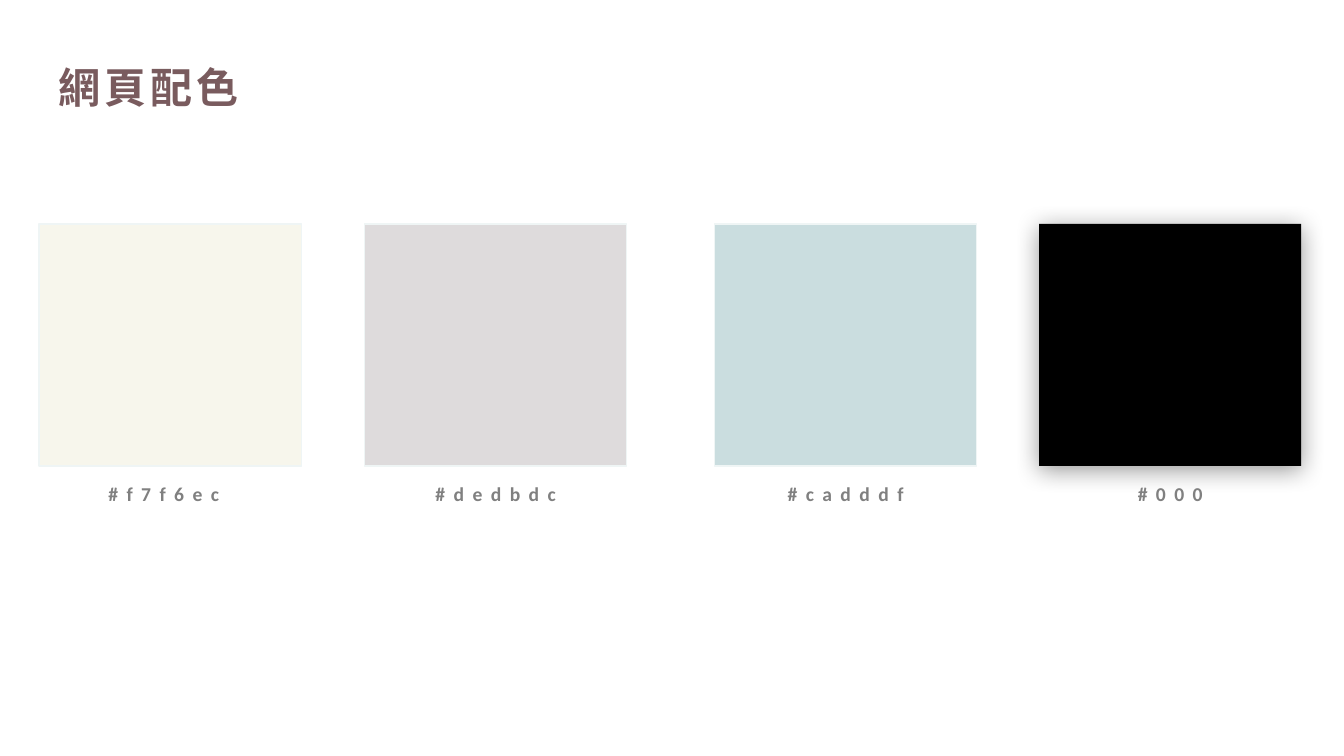
from lxml import etree
from pptx import Presentation
from pptx.dml.color import RGBColor
from pptx.enum import shapes, text
from pptx.oxml import ns
from pptx.util import Pt

HUES = {"title": "795B5E", "label": "808080", "edge": "EFF5F5", "shade": "000000",
        "cream": "F7F6EC", "grey": "DEDBDC", "blue": "CADDDF", "black": "000000"}


class Board:
    font = "Calibri"

    def __init__(self, slide):
        self.slide = slide

    def hue(self, name):
        return RGBColor.from_string(HUES[name])

    def swatch(self, x, y, w, h, fill, edge=None):
        box = self.slide.shapes.add_shape(
            shapes.MSO_SHAPE.RECTANGLE, Pt(x), Pt(y), Pt(w), Pt(h))
        box.shadow.inherit = False
        box.fill.solid()
        box.fill.fore_color.rgb = self.hue(fill)
        if edge:
            box.line.color.rgb = self.hue(edge)
            box.line.width = Pt(1)
        else:
            box.line.fill.background()
        return box

    def shade(self, box, blur, dist, alpha):
        fx = box._element.spPr.find(ns.qn("a:effectLst"))
        out = etree.SubElement(
            fx, ns.qn("a:outerShdw"), blurRad=str(Pt(blur)), dist=str(Pt(dist)),
            dir=str(90 * 60000), algn="t", rotWithShape="0")
        clr = etree.SubElement(out, ns.qn("a:srgbClr"), val=HUES["shade"])
        etree.SubElement(clr, ns.qn("a:alpha"), val=str(alpha * 1000))

    def label(self, x, y, w, h, words, size, color, gap, align, lead=None):
        box = self.slide.shapes.add_textbox(Pt(x), Pt(y), Pt(w), Pt(h))
        frame = box.text_frame
        frame.text = words
        frame.word_wrap = True
        frame.auto_size = text.MSO_AUTO_SIZE.SHAPE_TO_FIT_TEXT
        para = frame.paragraphs[0]
        para.alignment = align
        if lead:
            para.line_spacing = Pt(lead)
            frame.vertical_anchor = text.MSO_ANCHOR.MIDDLE
        font = para.runs[0].font
        font.name, font.size, font.bold = self.font, Pt(size), True
        font.color.rgb = self.hue(color)
        para.runs[0]._r.get_or_add_rPr().set("spc", str(gap * 100))


def main():
    deck = Presentation()
    deck.slide_width, deck.slide_height = Pt(960), Pt(540)
    board = Board(deck.slides.add_slide(deck.slide_layouts[6]))

    # Title
    board.label(34.5, 21, 163.5, 62.5, "網頁配色", 30, "title", 3,
                text.PP_ALIGN.LEFT, lead=55)

    # Colour swatches, each with its code centred below
    wide, high, top, span = 187.2, 172.8, 160, 152
    swatches = [(28, "cream", "#f7f6ec ", "edge"), (260.5, "grey", "#dedbdc", "edge"),
                (510.5, "blue", "#cadddf", "edge"), (742.3, "black", "#000", None)]
    for x, fill, code, edge in swatches:
        box = board.swatch(x, top, wide, high, fill, edge)
        if not edge:
            board.shade(box, blur=18, dist=3, alpha=40)
        board.label(x + (wide - span) / 2, top + high + 8, span, 24.5, code, 14,
                    "label", 6, text.PP_ALIGN.CENTER)

    deck.save("out.pptx")


if __name__ == "__main__":
    main()
